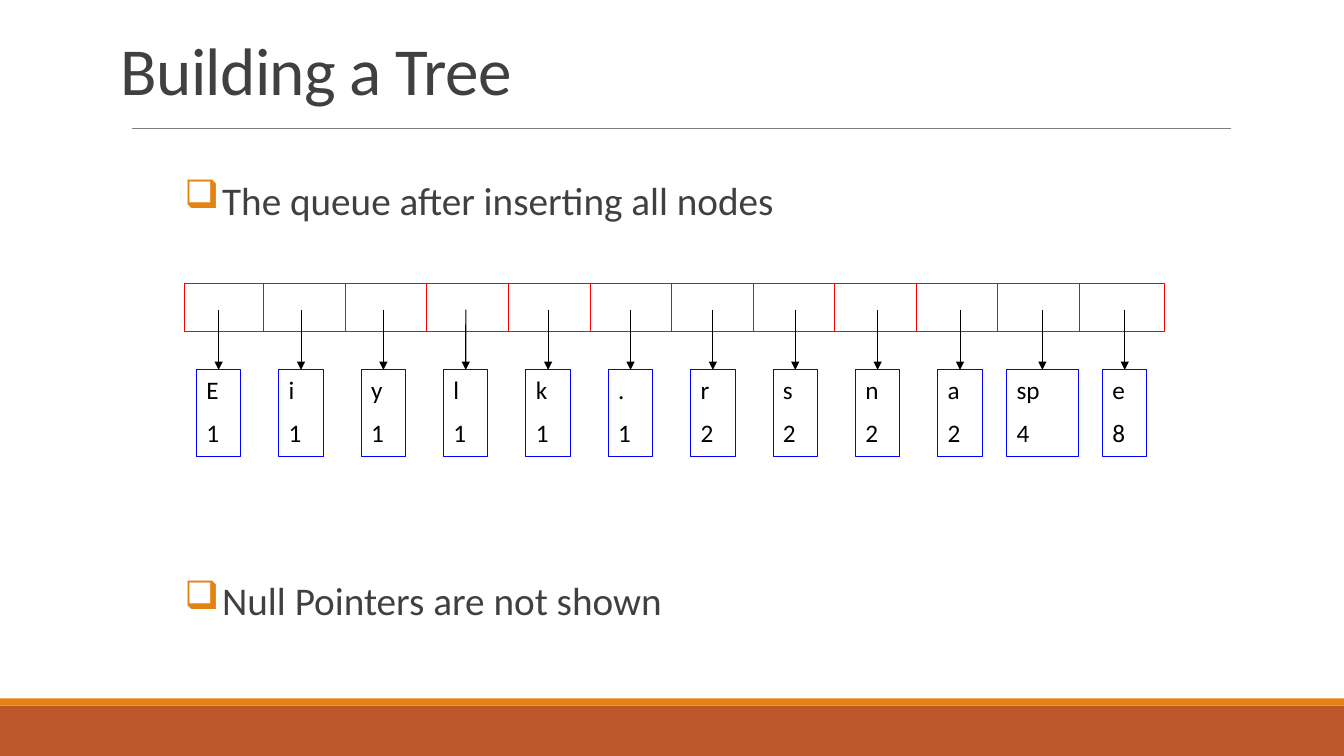
from lxml import etree
from pptx import Presentation
from pptx.dml.color import RGBColor
from pptx.enum.shapes import MSO_CONNECTOR, MSO_SHAPE
from pptx.enum.text import MSO_ANCHOR, MSO_AUTO_SIZE, PP_ALIGN
from pptx.oxml.ns import qn
from pptx.util import Cm, Pt

RECT = MSO_SHAPE.RECTANGLE
STRAIGHT = MSO_CONNECTOR.STRAIGHT
TOP, BOTTOM = MSO_ANCHOR.TOP, MSO_ANCHOR.BOTTOM
LEFT = PP_ALIGN.LEFT
NO_FIT = MSO_AUTO_SIZE.NONE

WHITE = RGBColor(0xFF, 0xFF, 0xFF)
BLACK = RGBColor(0x00, 0x00, 0x00)
DARK = RGBColor(0x40, 0x40, 0x40)
GREY = RGBColor(0x80, 0x80, 0x80)
RED = RGBColor(0xFF, 0x00, 0x00)
BLUE = RGBColor(0x00, 0x00, 0xFF)
ORANGE = RGBColor(0xE4, 0x83, 0x12)
RUST = RGBColor(0xBD, 0x58, 0x2C)

WIDTH, HEIGHT = 33.87, 19.05
TITLE_FORMAT = {"name": "Calibri", "size": Pt(48), "bold": False}
BODY_FORMAT = {"name": "Calibri", "size": Pt(28)}
NODE_FORMAT = {"name": "Calibri", "size": Pt(18)}
BULLETS = ["The queue after inserting all nodes", "Null Pointers are not shown"]
NODES = [("E", 1), ("i", 1), ("y", 1), ("l", 1), ("k", 1), (".", 1),
         ("r", 2), ("s", 2), ("n", 2), ("a", 2), ("sp", 4), ("e", 8)]


def format_font(font, values, color):
    """Apply a dict of font values and a colour."""
    for name, value in values.items():
        setattr(font, name, value)
    font.color.rgb = color


def add_rect(slide, box, fill=None, line=None):
    """Add a flat rectangle in a box given in centimetres."""
    sp = slide.shapes.add_shape(RECT, *map(Cm, box))
    sp.shadow.inherit = False
    if fill is None:
        sp.fill.background()
    else:
        sp.fill.solid()
        sp.fill.fore_color.rgb = fill
    if line is None:
        sp.line.fill.background()
    else:
        sp.line.color.rgb = line
        sp.line.width = Pt(0.75)
    return sp


def add_line(slide, ends, color, width=0.75, arrow=False):
    """Add a straight line between ends given in centimetres."""
    line = slide.shapes.add_connector(STRAIGHT, *map(Cm, ends))
    line.line.color.rgb = color
    line.line.width = Pt(width)
    if arrow:
        etree.SubElement(line.line._get_or_add_ln(), qn("a:tailEnd"), type="triangle")
    etree.SubElement(line._element.spPr, qn("a:effectLst"))
    return line


def add_footer(slide, box):
    """Draw the two-colour band in the given box."""
    x, y, w, h = box
    stripe = 0.18
    add_rect(slide, (x, y + stripe, w, h - stripe), RUST)
    add_rect(slide, (x, y, w, stripe), ORANGE)


def add_title(slide, box, text):
    """Place the title and the rule below it."""
    x, y, w, h = box
    title = slide.shapes.title
    title.left, title.top, title.width, title.height = map(Cm, box)
    tf = title.text_frame
    tf.text = text
    tf.vertical_anchor = BOTTOM
    tf.auto_size = NO_FIT
    p = tf.paragraphs[0]
    p.alignment = LEFT
    p.line_spacing = 0.85
    r = p.runs[0]
    format_font(r.font, TITLE_FORMAT, DARK)
    r.font._element.set("spc", "-50")
    rule_y = y + h + 0.34
    add_line(slide, (x + 0.53, rule_y, x + w + 0.28, rule_y), GREY, 0.5)


def add_bullets(slide, box, texts, gap):
    """Write bulleted paragraphs with a gap in points between them."""
    tf = slide.shapes.add_textbox(*map(Cm, box)).text_frame
    tf.word_wrap = True
    tf.margin_left = tf.margin_right = 0
    for i, text in enumerate(texts):
        p = tf.add_paragraph() if i else tf.paragraphs[0]
        p.line_spacing = 0.8
        p.space_before = Pt(gap if i else 0)
        pPr = p._p.get_or_add_pPr()
        pPr.set("marL", str(Cm(0.95)))
        pPr.set("indent", str(-Cm(0.95)))
        color = etree.SubElement(pPr, qn("a:buClr"))
        etree.SubElement(color, qn("a:srgbClr"), val=str(ORANGE))
        etree.SubElement(pPr, qn("a:buChar"), char="❑")
        r = p.add_run()
        r.text = text
        format_font(r.font, BODY_FORMAT, DARK)


def add_node(slide, box, lines):
    """Draw one tree node with its symbol above its count."""
    sp = add_rect(slide, box, line=BLUE)
    tf = sp.text_frame
    tf.word_wrap = True
    tf.vertical_anchor = TOP
    for i, text in enumerate(lines):
        p = tf.add_paragraph() if i else tf.paragraphs[0]
        p.alignment = LEFT
        p.space_before = Pt(9 if i else 0)
        r = p.add_run()
        r.text = str(text)
        format_font(r.font, NODE_FORMAT, BLACK)
    return sp


def add_queue(slide, box, nodes):
    """Draw the queue cells and the node that each one points to."""
    x, y, w, h = box
    cell_h, node_h = 1.22, 2.18
    node_y = y + h - node_h
    add_rect(slide, (x, y, w, cell_h), WHITE, RED)
    for i in range(len(nodes) - 1):
        divider = x + 2 + 2.055 * i
        add_line(slide, (divider, y, divider, y + cell_h), RED)
    for i, (symbol, count) in enumerate(nodes):
        mid = x + 0.86 + 2.076 * i
        node_w = 1.8 if len(symbol) > 1 else 1.12
        node = add_node(slide, (mid - node_w / 2, node_y, node_w, node_h), (symbol, count))
        arrow = add_line(slide, (mid, y + 0.66, mid, node_y), BLACK, arrow=True)
        arrow.end_connect(node, 0)


def main():
    """Build the slide and save it."""
    prs = Presentation()
    prs.slide_width, prs.slide_height = Cm(WIDTH), Cm(HEIGHT)
    slide = prs.slides.add_slide(prs.slide_layouts[5])
    add_footer(slide, (0, 17.6, WIDTH, HEIGHT - 17.6))
    add_title(slide, (2.79, 0.15, 27.94, 2.74), "Building a Tree")
    add_bullets(slide, (4.65, 4.55, 24.97, 11.43), BULLETS, 259)
    add_queue(slide, (4.65, 7.14, 24.71, 4.36), NODES)
    prs.save("out.pptx")


if __name__ == "__main__":
    main()
